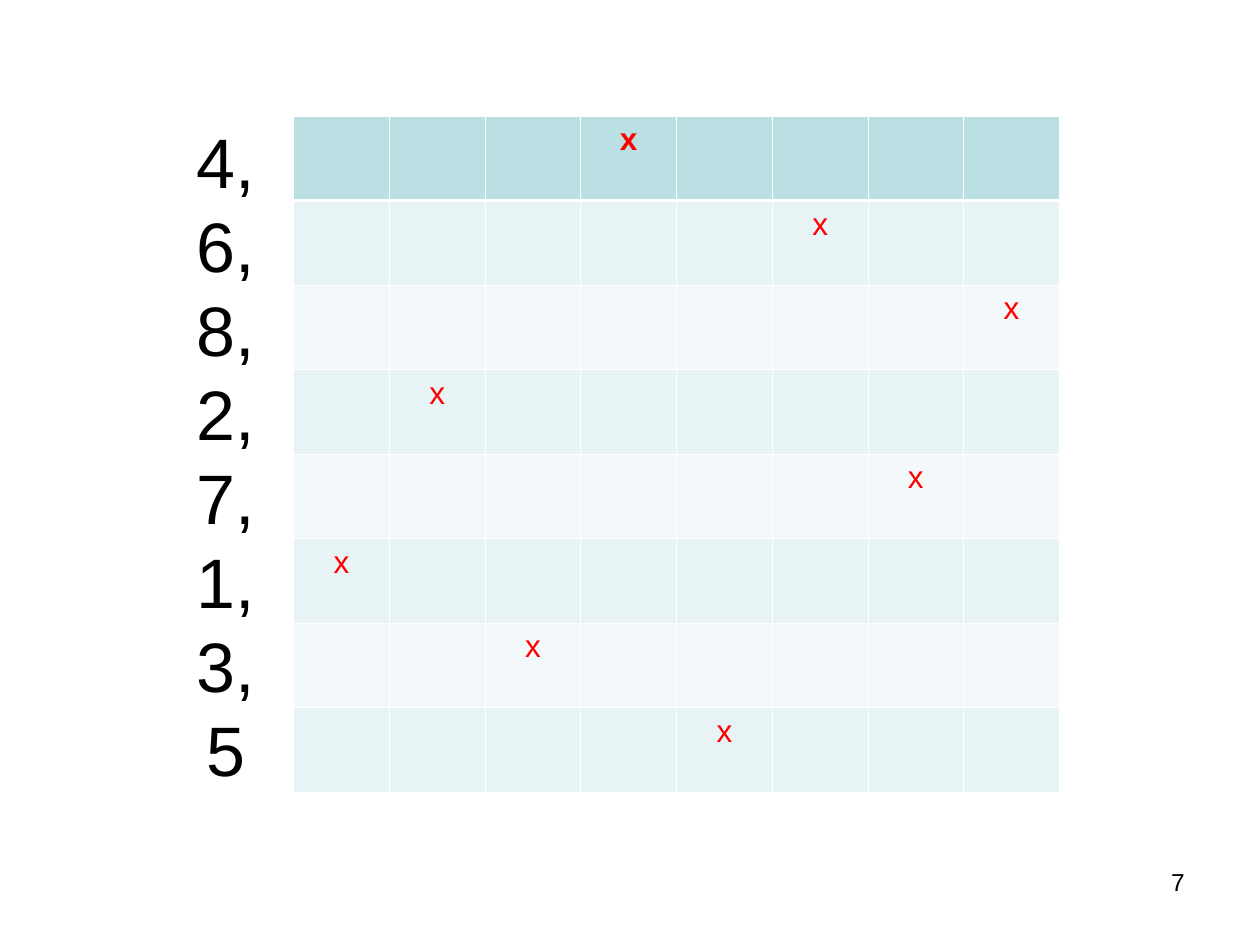
from pptx import Presentation
from pptx.dml.color import RGBColor
from pptx.enum.text import MSO_ANCHOR, PP_ALIGN
from pptx.oxml import parse_xml
from pptx.oxml.ns import nsdecls
from pptx.util import Inches, Pt


def style(p, size, color, align, bold=False):
    p.alignment = align
    for r in p.runs:
        r.font.name = "Arial"
        r.font.size = Pt(size)
        r.font.bold = bold
        r.font.color.rgb = RGBColor.from_string(color)


def add_border(cell, side, width):
    cell._tc.get_or_add_tcPr().append(parse_xml(
        f'<a:{side} {nsdecls("a")} w="{Pt(width)}"><a:solidFill>'
        f'<a:srgbClr val="FFFFFF"/></a:solidFill></a:{side}>'))


prs = Presentation()
prs.slide_width, prs.slide_height = Inches(10), Inches(7.5)
s = prs.slides.add_slide(prs.slide_layouts[6])

queens = [4, 6, 8, 2, 7, 1, 3, 5]
n = len(queens)

title = s.shapes.add_textbox(Inches(1.33), Inches(0.92), Inches(0.92), Inches(5.37))
tf = title.text_frame
tf.word_wrap = True
tf.margin_left = tf.margin_right = tf.margin_top = tf.margin_bottom = 0
tf.vertical_anchor = MSO_ANCHOR.MIDDLE
tf.text = ", ".join(str(q) for q in queens)
tf.paragraphs[0].line_spacing = Pt(48)
style(tf.paragraphs[0], 40, "000000", PP_ALIGN.CENTER)

number = s.shapes.add_textbox(Inches(8.58), Inches(6.83), Inches(0.92), Inches(0.52))
tf = number.text_frame
tf.word_wrap = True
tf.text = "7"
style(tf.paragraphs[0], 14, "000000", PP_ALIGN.RIGHT)

board = s.shapes.add_table(n, n, Inches(2.33), Inches(0.92), Inches(6.08), Inches(5.37)).table
for i, queen in enumerate(queens):
    fill = "BBE0E3" if i == 0 else "E7F3F4" if i % 2 else "F3F9FA"
    for j in range(n):
        cell = board.cell(i, j)
        add_border(cell, "lnL", 0.45)
        add_border(cell, "lnR", 0.45)
        add_border(cell, "lnT", 1.47 if i == 1 else 0.45)
        add_border(cell, "lnB", 1.47 if i == 0 else 0.45)
        cell.fill.solid()
        cell.fill.fore_color.rgb = RGBColor.from_string(fill)
        if j == queen - 1:
            cell.text_frame.text = "x"
            style(cell.text_frame.paragraphs[0], 18, "FF0000", PP_ALIGN.CENTER, i == 0)

prs.save("out.pptx")
